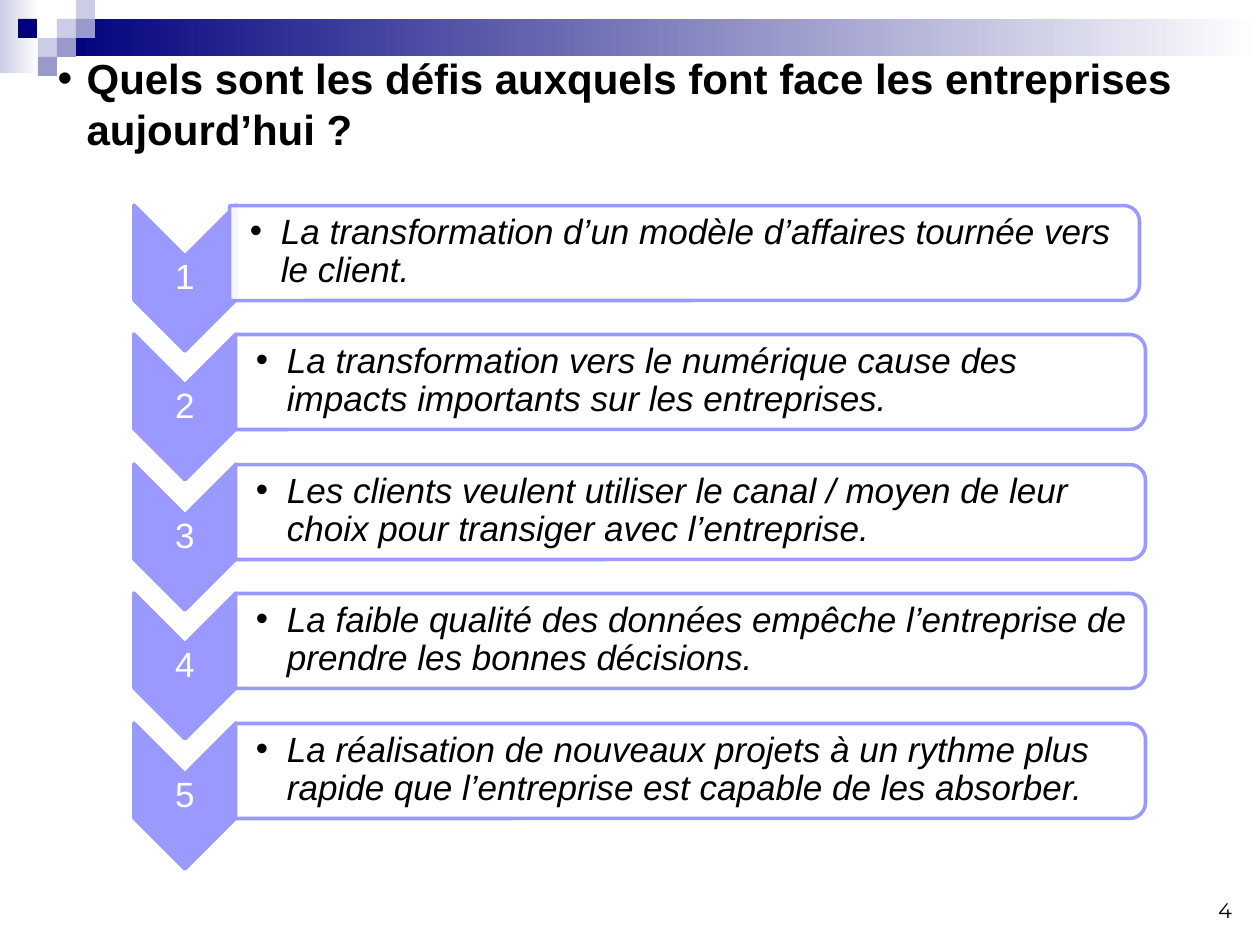
from dataclasses import dataclass

from lxml import etree
from pptx import Presentation
from pptx.dml.color import RGBColor
from pptx.enum.shapes import MSO_SHAPE
from pptx.enum.text import MSO_ANCHOR, MSO_AUTO_SIZE, PP_ALIGN
from pptx.oxml.ns import qn
from pptx.util import Emu, Pt

RECTANGLE = MSO_SHAPE.RECTANGLE
CHEVRON = MSO_SHAPE.CHEVRON
ROUNDED_END = MSO_SHAPE.ROUND_2_SAME_RECTANGLE
MIDDLE, BOTTOM = MSO_ANCHOR.MIDDLE, MSO_ANCHOR.BOTTOM
LEFT, CENTER, RIGHT = PP_ALIGN.LEFT, PP_ALIGN.CENTER, PP_ALIGN.RIGHT

PX_PER_INCH = 126
COLORS = {
    "black": "000000",
    "white": "FFFFFF",
    "navy": "00007D",
    "mist": "CCCCE6",
    "slate": "9999CC",
    "lavender": "9999FF",
}
TITLE = "Quels sont les défis auxquels font face les entreprises aujourd’hui ?"
CHALLENGES = [
    "La transformation d’un modèle d’affaires tournée vers le client.",
    "La transformation vers le numérique cause des impacts importants sur les entreprises.",
    "Les clients veulent utiliser le canal / moyen de leur choix pour transiger avec l’entreprise.",
    "La faible qualité des données empêche l’entreprise de prendre les bonnes décisions.",
    "La réalisation de nouveaux projets à un rythme plus rapide que l’entreprise est capable de les absorber.",
]
FIRST_TOP, ROWS_SPAN = 205, 518
CHEVRON_LEFT, CHEVRON_WIDTH, CHEVRON_HEIGHT = 134, 102, 146
BAR_LEFT, FIRST_BAR_LEFT, BAR_WIDTH, BAR_HEIGHT = 236, 230, 910, 95


@dataclass(frozen=True)
class Area:
    left: int
    top: int
    width: int
    height: int

    def emu(self) -> list[Emu]:
        return [px(n) for n in (self.left, self.top, self.width, self.height)]

    def before_quarter_turn(self) -> "Area":
        """Area to give a shape so that it fills this one once rotated by 90°."""
        shift = (self.width - self.height) // 2
        return Area(self.left + shift, self.top - shift, self.height, self.width)


@dataclass(frozen=True)
class Style:
    size: int
    color: str = "black"
    font: str = "Arial"
    bold: bool = False
    italic: bool = False
    align: PP_ALIGN = LEFT
    spacing: float = 1.0
    bullet_indent: int = 0


@dataclass(frozen=True)
class Tile:
    area: Area
    color: str
    fades: bool = False


TILES = [
    Tile(Area(0, 0, 39, 73), "mist", fades=True),
    Tile(Area(57, 19, 1203, 37), "navy", fades=True),
    Tile(Area(57, 19, 19, 19), "mist"),
    Tile(Area(76, 0, 19, 19), "mist"),
    Tile(Area(76, 19, 19, 19), "slate"),
    Tile(Area(38, 38, 19, 19), "mist"),
    Tile(Area(18, 19, 19, 19), "navy"),
    Tile(Area(57, 38, 19, 19), "slate"),
    Tile(Area(38, 57, 19, 19), "slate"),
]
TITLE_STYLE = Style(24, bold=True, bullet_indent=29)
PAGE_NUMBER_STYLE = Style(12, font="Montserrat", align=RIGHT)
NUMBER_STYLE = Style(20, color="white", align=CENTER, spacing=0.9)
CHALLENGE_STYLE = Style(20, italic=True, spacing=0.9, bullet_indent=31)


def px(length: int) -> Emu:
    return Emu(round(length * 914400 / PX_PER_INCH))


def rgb(name: str) -> RGBColor:
    return RGBColor.from_string(COLORS[name])


def write(box, text: str, style: Style, anchor: MSO_ANCHOR) -> None:
    frame = box.text_frame
    frame.word_wrap = True
    frame.auto_size = MSO_AUTO_SIZE.NONE
    frame.vertical_anchor = anchor
    para = frame.paragraphs[0]
    para.alignment = style.align
    para.line_spacing = style.spacing
    if style.bullet_indent:
        add_bullet(para, style.bullet_indent)
    span = para.add_run()
    span.text = text
    span.font.name = style.font
    span.font.size = Pt(style.size)
    span.font.bold = style.bold
    span.font.italic = style.italic
    span.font.color.rgb = rgb(style.color)


def add_bullet(para, indent: int) -> None:
    properties = para._p.get_or_add_pPr()
    properties.set("marL", str(px(indent)))
    properties.set("indent", str(-px(indent)))
    etree.SubElement(properties, qn("a:buFont"), typeface="Arial")
    etree.SubElement(properties, qn("a:buChar"), char="•")


def add_text(page, area: Area, text: str, style: Style, anchor: MSO_ANCHOR,
             insets: tuple[int, int, int, int] = (13, 6, 13, 6)) -> None:
    box = page.shapes.add_textbox(*area.emu())
    frame = box.text_frame
    (frame.margin_left, frame.margin_top,
     frame.margin_right, frame.margin_bottom) = map(px, insets)
    write(box, text, style, anchor)


def add_tile(page, tile: Tile) -> None:
    shape = page.shapes.add_shape(RECTANGLE, *tile.area.emu())
    shape.shadow.inherit = False
    shape.line.fill.background()
    if tile.fades:
        shape.fill.gradient()
        shape.fill.gradient_angle = 0
        for stop, color in zip(shape.fill.gradient_stops, (tile.color, "white")):
            stop.color.rgb = rgb(color)
    else:
        shape.fill.solid()
        shape.fill.fore_color.rgb = rgb(tile.color)


def add_turned_shape(page, kind: MSO_SHAPE, area: Area, color: str):
    shape = page.shapes.add_shape(kind, *area.before_quarter_turn().emu())
    shape.rotation = 90
    shape.shadow.inherit = False
    shape.fill.solid()
    shape.fill.fore_color.rgb = rgb(color)
    shape.line.color.rgb = rgb("lavender")
    shape.line.width = Pt(2)
    return shape


def add_challenge(page, index: int, text: str) -> None:
    top = FIRST_TOP + index * ROWS_SPAN // (len(CHALLENGES) - 1)
    bar_left = BAR_LEFT if index else FIRST_BAR_LEFT

    chevron = Area(CHEVRON_LEFT, top, CHEVRON_WIDTH, CHEVRON_HEIGHT)
    add_turned_shape(page, CHEVRON, chevron, "lavender")
    add_text(page, Area(CHEVRON_LEFT, top + 51, CHEVRON_WIDTH, 44), str(index + 1),
             NUMBER_STYLE, MIDDLE, (1, 1, 1, 1))

    bar = add_turned_shape(page, ROUNDED_END, Area(bar_left, top, BAR_WIDTH, BAR_HEIGHT), "white")
    bar_color = bar.fill._xPr.find(qn("a:solidFill"))[0]
    etree.SubElement(bar_color, qn("a:alpha"), val="90000")
    add_text(page, Area(bar_left, top + 4, BAR_WIDTH - 4, BAR_HEIGHT - 9), text,
             CHALLENGE_STYLE, MIDDLE, (20, 1, 1, 1))


def add_title(page) -> None:
    title = page.shapes.title
    title.left, title.top, title.width, title.height = Area(45, 45, 1210, 115).emu()
    write(title, TITLE, TITLE_STYLE, BOTTOM)
    title.element.getparent().append(title.element)


def main() -> None:
    deck = Presentation()
    deck.slide_width, deck.slide_height = px(1260), px(945)
    page = deck.slides.add_slide(deck.slide_layouts.get_by_name("Title Only"))
    for tile in TILES:
        add_tile(page, tile)
    add_text(page, Area(951, 866, 294, 63), "4", PAGE_NUMBER_STYLE, BOTTOM)
    add_title(page)
    for index, text in enumerate(CHALLENGES):
        add_challenge(page, index, text)
    deck.save("out.pptx")


if __name__ == "__main__":
    main()
